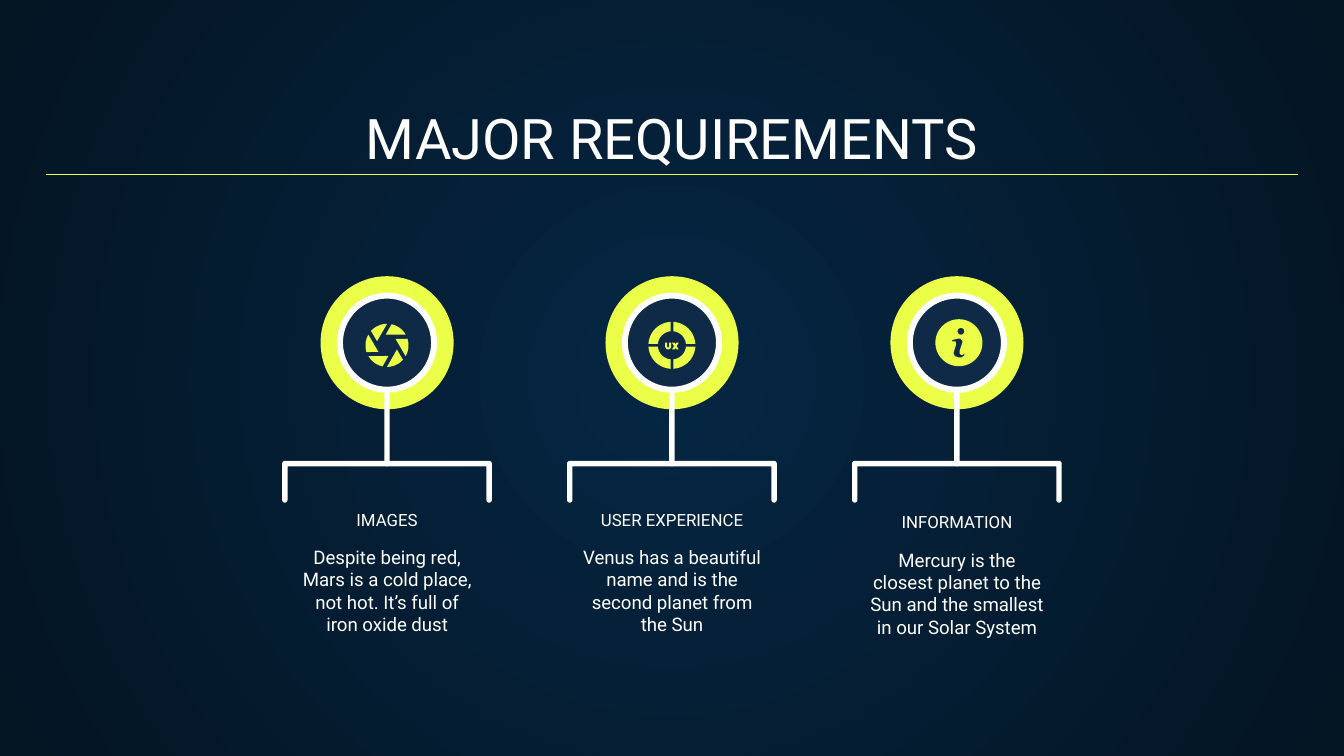
from math import asin, cos, degrees, radians, sin

from lxml.etree import SubElement
from pptx import Presentation
from pptx.dml.color import RGBColor
from pptx.enum.shapes import MSO_CONNECTOR, MSO_SHAPE
from pptx.enum.text import MSO_ANCHOR, MSO_AUTO_SIZE, PP_ALIGN
from pptx.oxml.ns import qn
from pptx.util import Inches, Pt

TITLE = "MAJOR REQUIREMENTS"
# heading, description, heading top
REQUIREMENTS = [
    ("IMAGES", "Despite being red, Mars is a cold place, not hot. It’s full of iron oxide dust", 3.83),
    ("USER EXPERIENCE", "Venus has a beautiful name and is the second planet from the Sun", 3.83),
    ("INFORMATION", "Mercury is the closest planet to the Sun and the smallest in our Solar System", 3.85),
]
FONT = "Roboto"
WHITE, YELLOW, NAVY = "FFFFFF", "ECFF48", "0E2A47"
BACKGROUND = ("052643", "041523")
MIDDLE, COLUMN_STEP = 5, 2.12
CIRCLE_Y = 2.55

# Outlines in hundredths of an inch, relative to the centre of their icon
LETTER_X = [(0, -2), (2, -2), (2.5, -0.5), (3, -2), (5, -2), (3.5, 0.5),
            (5, 3), (3, 3), (2.5, 1.5), (2, 3), (0, 3), (1.5, 0.5)]
LETTER_I = [(-1, -3), (1, -3), (2.5, -1.5), (2.5, 0), (0.5, 6), (0.5, 8), (1.5, 9),
            (3, 9), (4, 8), (4, 9.5), (2, 11), (0, 11), (-3, 10), (-4, 8),
            (-3.5, 6), (-2, 1), (-2.5, -1), (-5, -1), (-5, -2)]


def color(hex_code):
    return RGBColor.from_string(hex_code)


def arc(x, y, radius, start, end, steps=12):
    """Points on an arc; angles in degrees, clockwise from the right."""
    angles = [radians(start + (end - start) * i / steps) for i in range(steps + 1)]
    return [(x + radius * cos(a), y + radius * sin(a)) for a in angles]


def placed(points, x, y):
    """Turn hundredths of an inch around a centre into slide inches."""
    return [(x + dx / 100, y + dy / 100) for dx, dy in points]


def finish(shape, fill, line=None, width=0):
    shape.shadow.inherit = False
    shape.fill.solid()
    shape.fill.fore_color.rgb = color(fill)
    if line:
        shape.line.color.rgb = color(line)
        shape.line.width = Pt(width)
    else:
        shape.line.fill.background()


def add_outline(slide, fill, *contours):
    """One freeform from closed contours; inner contours become holes."""
    contours = [[(Inches(x), Inches(y)) for x, y in points] for points in contours]
    builder = slide.shapes.build_freeform(*contours[0][0])
    builder.add_line_segments(contours[0][1:], close=True)
    for points in contours[1:]:
        builder.move_to(*points[0])
        builder.add_line_segments(points[1:], close=True)
    finish(builder.convert_to_shape(), fill)


def add_circle(slide, x, y, radius, *style):
    circle = slide.shapes.add_shape(MSO_SHAPE.OVAL, Inches(x - radius), Inches(y - radius),
                                    Inches(2 * radius), Inches(2 * radius))
    finish(circle, *style)


def format_text(shape, text, size, anchor):
    frame = shape.text_frame
    frame.text = text
    frame.word_wrap = True
    frame.auto_size = MSO_AUTO_SIZE.NONE
    frame.vertical_anchor = anchor
    frame.margin_left = frame.margin_right = frame.margin_top = frame.margin_bottom = Inches(0.1)
    paragraph = frame.paragraphs[0]
    paragraph.alignment = PP_ALIGN.CENTER
    font = paragraph.runs[0].font
    font.name, font.size, font.color.rgb = FONT, Pt(size), color(WHITE)


def add_label(slide, center, top, width, height, text, size, anchor):
    box = slide.shapes.add_textbox(Inches(center - width / 2), Inches(top),
                                   Inches(width), Inches(height))
    format_text(box, text, size, anchor)


def add_bracket(slide, x):
    half, top, bottom, thick = 0.78, 3.43, 3.74, 0.04
    cap = thick / 2
    left, right = x - half, x + half
    add_outline(slide, WHITE, [
        *arc(left + cap, top + cap, cap, 180, 270),
        *arc(right - cap, top + cap, cap, 270, 360),
        *arc(right - cap, bottom - cap, cap, 0, 180),
        (right - thick, top + thick), (left + thick, top + thick),
        *arc(left + cap, bottom - cap, cap, 0, 180),
    ])


def add_badge(slide, x):
    add_circle(slide, x, CIRCLE_Y, 0.495, YELLOW)
    stem = slide.shapes.add_shape(MSO_SHAPE.ROUNDED_RECTANGLE, Inches(x - 0.02), Inches(2.48),
                                  Inches(0.04), Inches(0.99))
    stem.adjustments[0] = 0.5
    finish(stem, WHITE)
    add_circle(slide, x, CIRCLE_Y, 0.35, NAVY, WHITE, 3.2)


def add_shutter_icon(slide, x):
    y = 2.57
    for turn in range(0, 360, 60):
        corner = arc(x, y, 0.08, 203 + turn, 203 + turn, 1)[0]
        add_outline(slide, YELLOW, arc(x, y, 0.16, 222 + turn, 270 + turn) + [corner])


def add_ux_icon(slide, x):
    y, outer, inner, half_gap = 2.57, 0.175, 0.105, 0.01
    outer_gap, inner_gap = (degrees(asin(half_gap / r)) for r in (outer, inner))
    for turn in range(0, 360, 90):
        add_outline(slide, YELLOW,
                    arc(x, y, outer, turn + outer_gap, turn + 90 - outer_gap)
                    + arc(x, y, inner, turn + 90 - inner_gap, turn + inner_gap))
    letter_u = [(-5, -2), *arc(-2.8, 0.8, 2.2, 180, 0), (-0.6, -2),
                (-2, -2), *arc(-2.8, 0.8, 0.8, 0, 180), (-3.6, -2)]
    add_outline(slide, YELLOW, placed(letter_u, x, y))
    add_outline(slide, YELLOW, placed(LETTER_X, x, y))


def add_information_icon(slide, x):
    x, y = x + 0.015, CIRCLE_Y
    add_outline(slide, YELLOW, arc(x, y, 0.175, 0, 360, 60),
                arc(x + 0.015, y - 0.085, 0.025, 0, 360, 24), placed(LETTER_I, x, y))


def set_radial_background(slide):
    fill = slide.background.fill
    fill.gradient()
    for stop, shade in zip(fill.gradient_stops, BACKGROUND):
        stop.color.rgb = color(shade)
    gradient = slide.element.xpath(".//p:bg//a:gradFill")[0]
    gradient.remove(gradient.find(qn("a:lin")))
    radial = SubElement(gradient, qn("a:path"), {"path": "circle"})
    SubElement(radial, qn("a:fillToRect"), {side: "50000" for side in "ltrb"})


def main():
    presentation = Presentation()
    presentation.slide_width = Inches(10)
    presentation.slide_height = Inches(10 * 9 / 16)
    slide = presentation.slides.add_slide(presentation.slide_layouts[5])
    set_radial_background(slide)

    title = slide.shapes.title
    title.left, title.top, title.width, title.height = map(Inches, (0.34, 0.71, 9.32, 0.66))
    format_text(title, TITLE, 30, MSO_ANCHOR.BOTTOM)

    add_icons = (add_shutter_icon, add_ux_icon, add_information_icon)
    for index, ((heading, description, top), add_icon) in enumerate(zip(REQUIREMENTS, add_icons)):
        x = MIDDLE + (index - 1) * COLUMN_STEP
        add_label(slide, x, top + 0.13, 1.52, 0.55, description, 10, MSO_ANCHOR.TOP)
        add_label(slide, x, top, 2.27, 0.21, heading, 9, MSO_ANCHOR.BOTTOM)
        add_bracket(slide, x)
        add_badge(slide, x)
        add_icon(slide, x)

    rule = slide.shapes.add_connector(MSO_CONNECTOR.STRAIGHT, Inches(0.34), Inches(1.3),
                                      Inches(9.66), Inches(1.3))
    rule.line.color.rgb = color(YELLOW)
    rule.line.width = Pt(0.75)
    SubElement(rule.element.spPr, qn("a:effectLst"))
    presentation.save("out.pptx")


if __name__ == "__main__":
    main()
